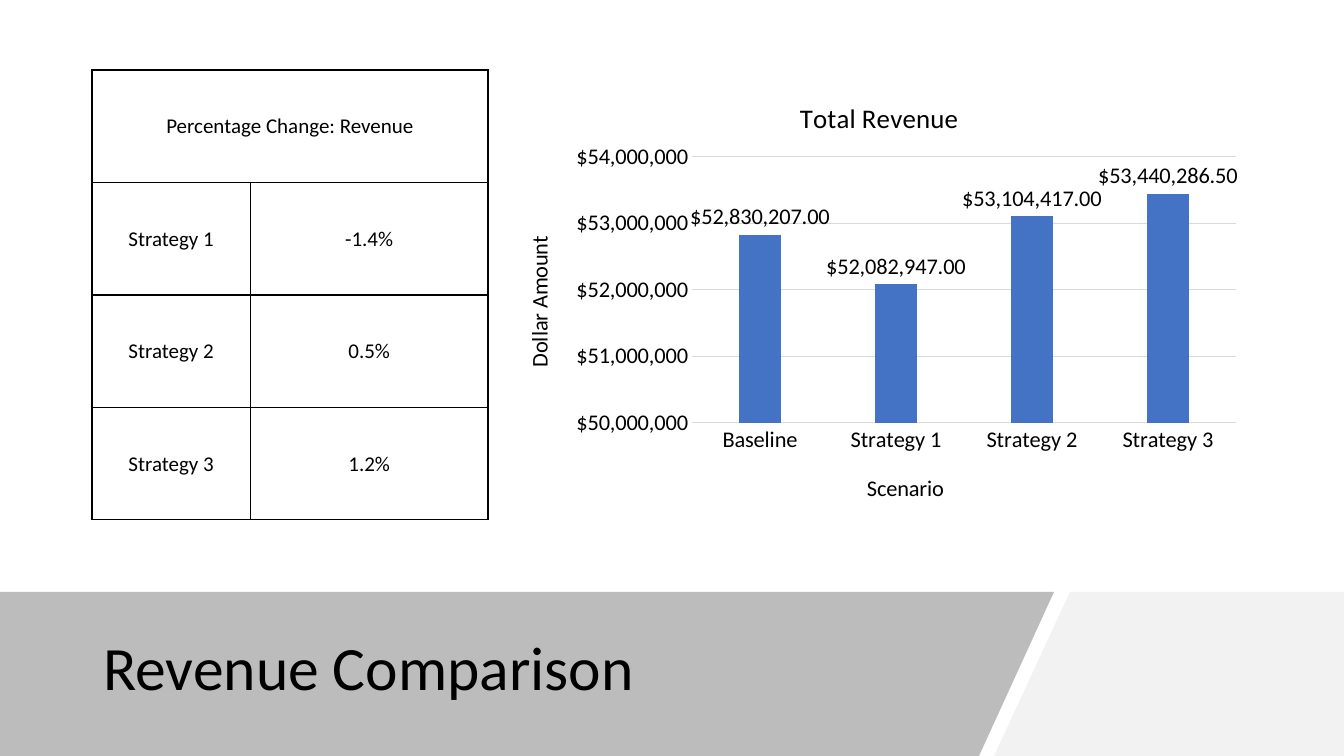
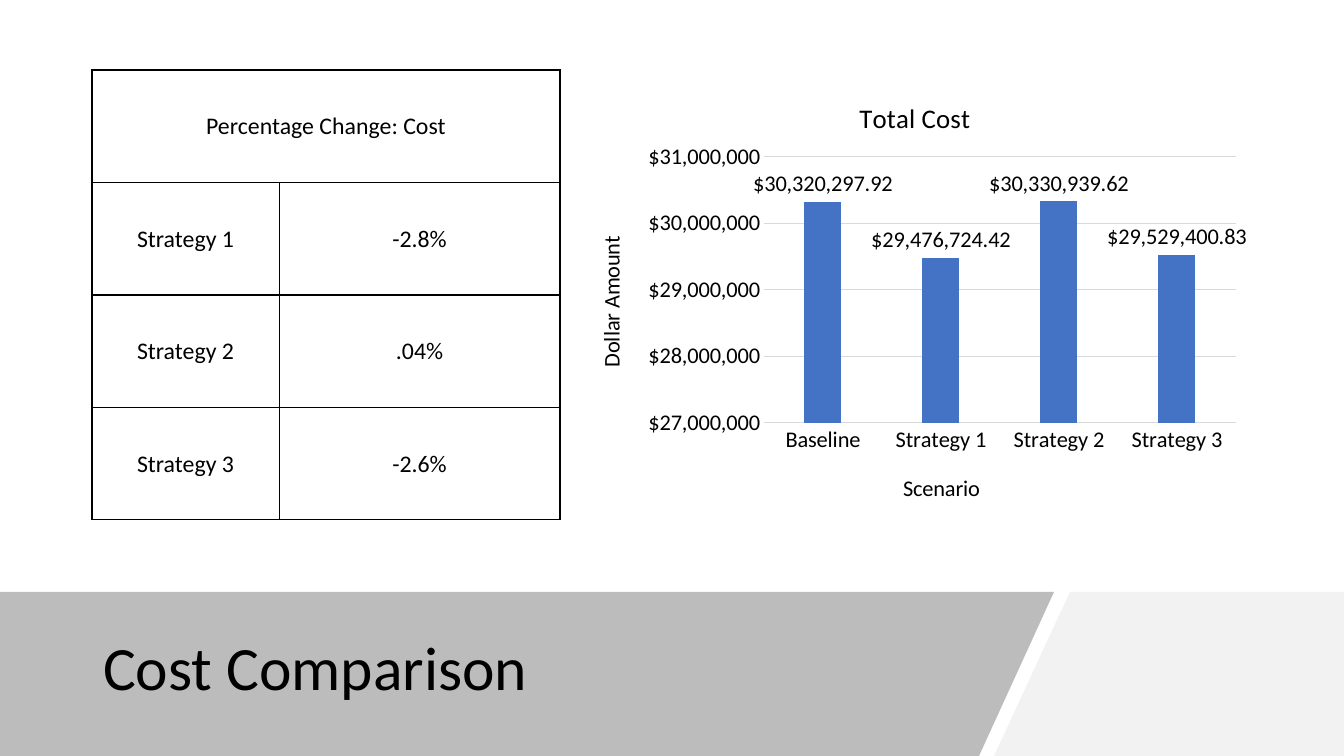
"""Build the revenue and cost comparison slides."""
from lxml import etree
from pptx import Presentation
from pptx import util as u
from pptx.chart import data as cd
from pptx.dml import color as dc
from pptx.enum import chart as ec, text as et
from pptx.oxml import ns, parse_xml

PX = 914400 / 100.8
FONT, INK, GRID, BAR = "Calibri", "000000", "D9D9D9", "4472C4"
LEFT, TOP, HIGH, RIGHT, GAP = 92, 70, 450, 1252, 8
BANDS = [
    ("F2F2F2", 100, [(1070, 592), (1344, 592), (1344, 756), (994, 756)]),
    ("595959", 40, [(0, 592), (1054, 592), (979, 756), (0, 756)]),
]
CATS = ["Baseline", "Strategy 1", "Strategy 2", "Strategy 3"]
PAGES = [
    {"name": "Revenue", "wide": 396, "size": 15, "head": 158,
     "rates": ["-1.4%", "0.5%", "1.2%"],
     "vals": [52830207, 52082947, 53104417, 53440286.5],
     "span": (50000000, 54000000)},
    {"name": "Cost", "wide": 468, "size": 17, "head": 111,
     "rates": ["-2.8%", ".04%", "-2.6%"],
     "vals": [30320297.92, 29476724.42, 30330939.62, 29529400.83],
     "span": (27000000, 31000000)},
]


def px(n):
    return u.Emu(round(n * PX))


def rgb(code):
    return dc.RGBColor.from_string(code)


def style(font, size):
    font.name, font.size, font.bold = FONT, u.Pt(size), False
    font.color.rgb = rgb(INK)


def write(frame, text, size=16, align=None, lead=None):
    par = frame.paragraphs[0]
    par.alignment, par.line_spacing = align, lead
    run = par.add_run()
    run.text = text
    style(run.font, size)


def bands(slide):
    for code, alpha, pts in BANDS:
        pen = slide.shapes.build_freeform(*pts[0], scale=PX)
        pen.add_line_segments(pts[1:], close=True)
        band = pen.convert_to_shape()
        band.shadow.inherit = False
        band.line.fill.background()
        band.fill.solid()
        band.fill.fore_color.rgb = rgb(code)
        if alpha < 100:
            tone = band.element.spPr.find(".//" + ns.qn("a:srgbClr"))
            etree.SubElement(tone, ns.qn("a:alpha")).set("val", str(alpha * 1000))


def title(slide, text):
    box = slide.shapes.title
    slide.shapes.element.append(box.element)
    box.left, box.top, box.width, box.height = map(px, (93, 610, 890, 121))
    frame = box.text_frame
    frame.auto_size = et.MSO_AUTO_SIZE.NONE
    frame.vertical_anchor = et.MSO_ANCHOR.MIDDLE
    write(frame, text, size=44, align=et.PP_ALIGN.LEFT, lead=0.9)


def border(cell):
    props = cell._tc.get_or_add_tcPr()
    for at, side in enumerate(("lnL", "lnR", "lnT", "lnB")):
        props.insert(at, parse_xml(
            f'<a:{side} {ns.nsdecls("a")} w="12700"><a:solidFill>'
            f'<a:srgbClr val="{INK}"/></a:solidFill></a:{side}>'))


def table(slide, page):
    rows = [(f"Percentage Change: {page['name']}", "")]
    rows += zip(CATS[1:], page["rates"])
    grid = slide.shapes.add_table(
        len(rows), 2, *map(px, (LEFT, TOP, page["wide"], HIGH))).table
    grid.first_row = grid.horz_banding = False
    for col, part in zip(grid.columns, (0.4, 0.6)):
        col.width = px(page["wide"] * part)
    for r, row in enumerate(rows):
        grid.rows[r].height = px(HIGH / len(rows))
        for c, text in enumerate(row):
            cell = grid.cell(r, c)
            cell.fill.background()
            border(cell)
            cell.margin_left = cell.margin_right = cell.margin_top = px(1)
            cell.margin_bottom = 0
            cell.vertical_anchor = et.MSO_ANCHOR.MIDDLE
            if text:
                write(cell.text_frame, text, size=page["size"],
                      align=et.PP_ALIGN.CENTER)
    grid.cell(0, 0).merge(grid.cell(0, 1))


def place(node, at, **spots):
    old = node.find(ns.qn("c:layout"))
    if old is not None:
        node.remove(old)
    lay = etree.Element(ns.qn("c:layout"))
    man = etree.SubElement(lay, ns.qn("c:manualLayout"))
    modes = {"xMode": "edge", "yMode": "edge"}
    if "w" in spots:
        modes = {"layoutTarget": "inner", **modes}
    for key, val in {**modes, **spots}.items():
        etree.SubElement(man, ns.qn("c:" + key)).set("val", str(val))
    node.insert(at, lay)


def chart(slide, page):
    name = f"Total {page['name']}"
    left = LEFT + page["wide"] + GAP
    wide = RIGHT - left
    data = cd.CategoryChartData()
    data.categories = CATS
    data.add_series(name, page["vals"])
    plan = slide.shapes.add_chart(
        ec.XL_CHART_TYPE.COLUMN_CLUSTERED,
        *map(px, (left, TOP, wide, HIGH)), data).chart
    style(plan.font, 16)
    plan.has_legend = False
    plot = plan.plots[0]
    plot.gap_width, plot.overlap, plot.vary_by_categories = 219, -27, False
    fill = plot.series[0].format.fill
    fill.solid()
    fill.fore_color.rgb = rgb(BAR)
    plot.has_data_labels = True
    tags = plot.data_labels
    style(tags.font, 16)
    tags.show_value = True
    tags.position = ec.XL_LABEL_POSITION.OUTSIDE_END
    tags.number_format, tags.number_format_is_linked = '"$"#,##0.00', False

    cat, val = plan.category_axis, plan.value_axis
    for axis in (cat, val):
        axis.major_tick_mark = axis.minor_tick_mark = ec.XL_TICK_MARK.NONE
        style(axis.tick_labels.font, 16)
    val.minimum_scale, val.maximum_scale = page["span"]
    val.major_unit = 1000000
    val.tick_labels.number_format = '"$"#,##0'
    val.tick_labels.number_format_is_linked = False
    val.format.line.fill.background()
    for line in (cat.format.line, val.major_gridlines.format.line):
        line.color.rgb = rgb(GRID)
        line.width = u.Pt(0.75)

    heads = [
        (plan.chart_title, name, 19.2, (wide - page["head"]) / 2, 24),
        (cat.axis_title, "Scenario", 16, wide / 2 - 11, 399),
        (val.axis_title, "Dollar Amount", 16, 24, 162),
    ]
    for head, text, size, x, y in heads:
        write(head.text_frame, text, size=size)
        place(head.element, 1, x=x / wide, y=y / HIGH)
    body = val.axis_title.element.find(".//" + ns.qn("a:bodyPr"))
    body.set("rot", "-5400000")
    area = plan.element.find(".//" + ns.qn("c:plotArea"))
    place(area, 0, x=196 / wide, y=87 / HIGH, w=(wide - 212) / wide, h=266 / HIGH)


def main():
    deck = Presentation()
    deck.slide_width, deck.slide_height = px(1344), px(756)
    for page in PAGES:
        slide = deck.slides.add_slide(deck.slide_layouts[5])
        bands(slide)
        table(slide, page)
        chart(slide, page)
        title(slide, f"{page['name']} Comparison")
    deck.save("out.pptx")


if __name__ == "__main__":
    main()
